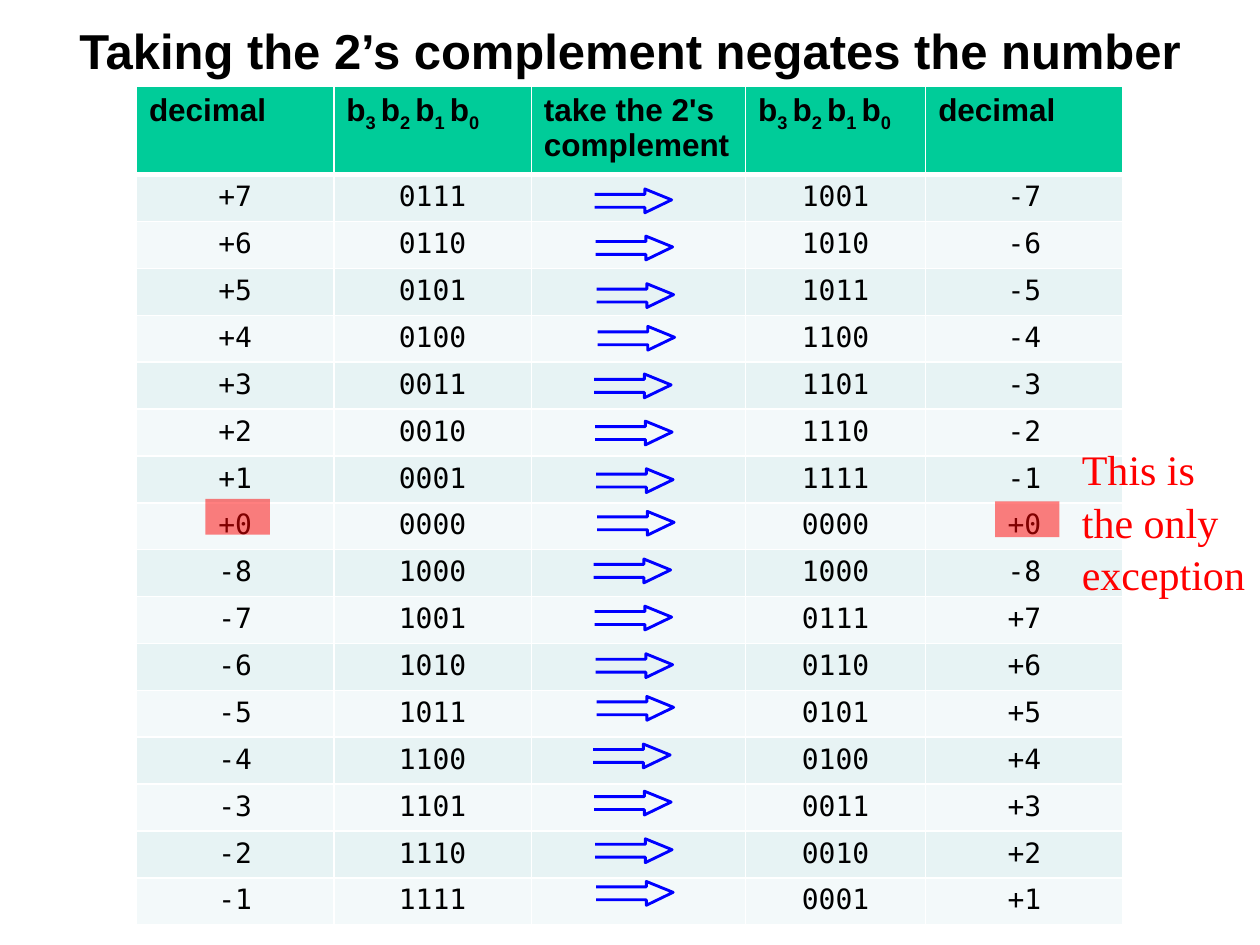
import pptx
import pptx.dml.color
import pptx.enum.shapes
import pptx.enum.text
import pptx.oxml.ns
import pptx.util
from lxml import etree

Cm = pptx.util.Cm
Pt = pptx.util.Pt
qn = pptx.oxml.ns.qn
CENTER = pptx.enum.text.PP_ALIGN.CENTER

HEADER_FILL, BAND_FILLS = "00CC99", ("E7F3F4", "F3F9FA")
BLACK, WHITE, RED, BLUE = "000000", "FFFFFF", "FF0000", "0000FF"
BITS = [("b", 0), ("3 ", -25), ("b", 0), ("2 ", -25), ("b", 0), ("1 ", -25), ("b", 0), ("0", -25)]
HEADERS = ["decimal", BITS, "take the 2's complement", BITS, "decimal"]
COLUMN_WIDTHS = (3.98, 3.98, 4.32, 3.63, 3.98)
ARROW_OUTLINE = ((0, 0.37), (1.01, 0.37), (1.01, 0.48), (1.55, 0.22),
                 (1.01, 0), (1.01, 0.11), (0, 0.11))


def color(value):
    """Turn a hex string into a colour."""
    return pptx.dml.color.RGBColor.from_string(value)


def write(paragraph, content, size=16, font="Arial", fill=BLACK, bold=False, align=None, spacing=None):
    """Write a string, or pairs of text and baseline shift, into a paragraph."""
    paragraph.alignment = align
    paragraph.line_spacing = spacing
    for text, baseline in [(content, 0)] if isinstance(content, str) else content:
        run = paragraph.add_run()
        run.text = text
        run.font.size = Pt(size)
        run.font.name = font
        run.font.bold = bold
        run.font.color.rgb = color(fill)
        if baseline:
            run.font._element.set("baseline", str(baseline * 1000))


def add_title(slide, text):
    """Place and format the slide title."""
    title = slide.shapes.title
    title.left, title.top, title.width, title.height = Cm(0), Cm(0.2), Cm(25.4), Cm(1.9)
    frame = title.text_frame
    frame.vertical_anchor = pptx.enum.text.MSO_ANCHOR.TOP
    frame.margin_top = Cm(0.22)
    write(frame.paragraphs[0], text, size=28, bold=True, align=CENTER)


def format_cell(cell, fill, top=1, bottom=1):
    """Give a cell its white borders and its fill."""
    properties = cell._tc.get_or_add_tcPr()
    for side, width in (("L", 1), ("R", 1), ("T", top), ("B", bottom)):
        line = etree.SubElement(properties, qn(f"a:ln{side}"), w=str(Pt(width)))
        solid = etree.SubElement(line, qn("a:solidFill"))
        etree.SubElement(solid, qn("a:srgbClr"), val=WHITE)
    cell.fill.solid()
    cell.fill.fore_color.rgb = color(fill)


def complement_rows():
    """List each four-bit number with its two's complement."""
    rows = []
    for number in [*range(7, -1, -1), *range(-8, 0)]:
        code = -number % 16
        negated = code - 16 if code >= 8 else code
        rows.append((f"{number:+d}", f"{number % 16:04b}", "", f"{code:04b}", f"{negated:+d}"))
    return rows


def add_complement_table(slide):
    """Add the table of numbers and their complements."""
    rows = complement_rows()
    frame = slide.shapes.add_table(len(rows) + 1, len(HEADERS), Cm(2.75), Cm(1.74),
                                   Cm(sum(COLUMN_WIDTHS)), Cm(16.69))
    table = frame.table
    for column, width in zip(table.columns, COLUMN_WIDTHS):
        column.width = Cm(width)
    for index, row in enumerate(table.rows):
        row.height = Cm(14.91 / len(rows)) if index else Cm(1.78)
    for cell, header in zip(table.rows[0].cells, HEADERS):
        format_cell(cell, HEADER_FILL, bottom=3)
        write(cell.text_frame.paragraphs[0], header, size=18, bold=True)
    for index, values in enumerate(rows):
        for cell, value in zip(table.rows[index + 1].cells, values):
            format_cell(cell, BAND_FILLS[index % 2], top=1 if index else 3)
            paragraph = cell.text_frame.paragraphs[0]
            if value:
                write(paragraph, value, font="DejaVu Sans Mono", align=CENTER)
            else:
                etree.SubElement(paragraph._p, qn("a:endParaRPr"), sz="1600")


def add_arrow(shapes, left, top):
    """Draw one hollow arrow with an open tail."""
    points = [(Cm(left + x), Cm(top + y)) for x, y in ARROW_OUTLINE]
    builder = shapes.build_freeform(*points[0])
    builder.add_line_segments(points[1:], close=False)
    arrow = builder.convert_to_shape()
    arrow.shadow.inherit = False
    arrow.fill.background()
    arrow.line.color.rgb = color(BLUE)
    arrow.line.width = Pt(1.63)


def add_arrow_groups(slide):
    """Add four groups of four arrows down the middle column."""
    for block in range(4):
        group = slide.shapes.add_group_shape()
        for index, offset in enumerate((0, 0.95, 1.91, 2.77)):
            add_arrow(group.shapes, 11.99 - 0.01 * block + 0.02 * index, 3.81 + 3.73 * block + offset)


def add_highlight(slide, left, top):
    """Add a half-transparent red marker."""
    marker = slide.shapes.add_shape(pptx.enum.shapes.MSO_SHAPE.RECTANGLE,
                                    Cm(left), Cm(top), Cm(1.3), Cm(0.72))
    marker.shadow.inherit = False
    marker.line.fill.background()
    marker.fill.solid()
    marker.fill.fore_color.rgb = color(RED)
    solid_color = marker._element.spPr.find(qn("a:solidFill"))[0]
    etree.SubElement(solid_color, qn("a:alpha"), val="50000")


def add_note(slide, lines):
    """Add the red remark beside the table."""
    frame = slide.shapes.add_textbox(Cm(21.56), Cm(8.76), Cm(3.84), Cm(3.33)).text_frame
    frame.word_wrap = False
    frame.auto_size = pptx.enum.text.MSO_AUTO_SIZE.SHAPE_TO_FIT_TEXT
    for index, line in enumerate(lines):
        paragraph = frame.add_paragraph() if index else frame.paragraphs[0]
        write(paragraph, line, size=24, font="Times New Roman", fill=RED, spacing=1.05)


def main():
    """Build the slide and save it."""
    presentation = pptx.Presentation()
    presentation.slide_width, presentation.slide_height = Cm(25.4), Cm(19.05)
    slide = presentation.slides.add_slide(presentation.slide_layouts[5])
    add_title(slide, "Taking the 2’s complement negates the number")
    add_complement_table(slide)
    add_arrow_groups(slide)
    add_highlight(slide, 20.06, 10.11)
    add_highlight(slide, 4.14, 10.06)
    add_note(slide, ("This is", "the only", "exception"))
    presentation.save("out.pptx")


if __name__ == "__main__":
    main()
